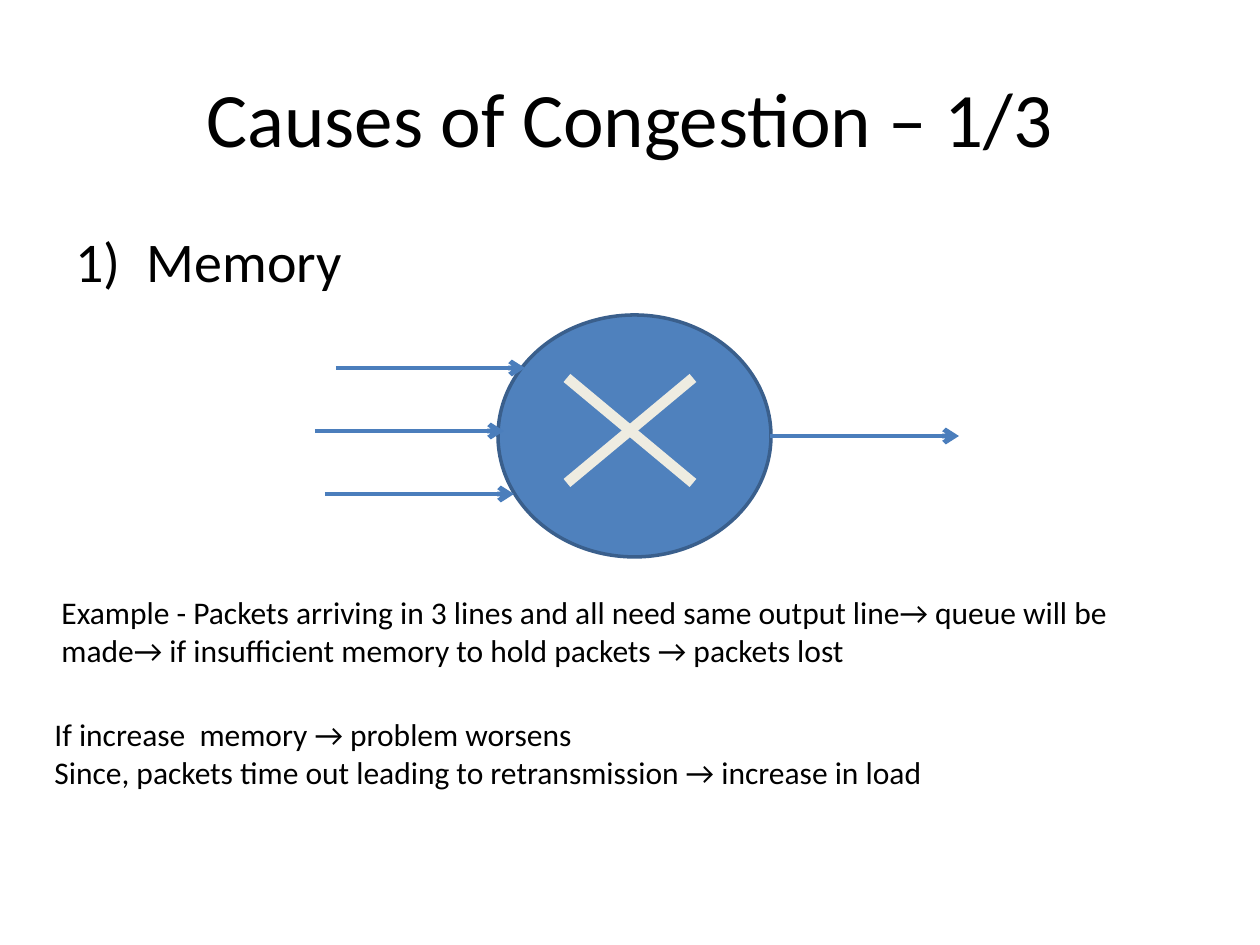
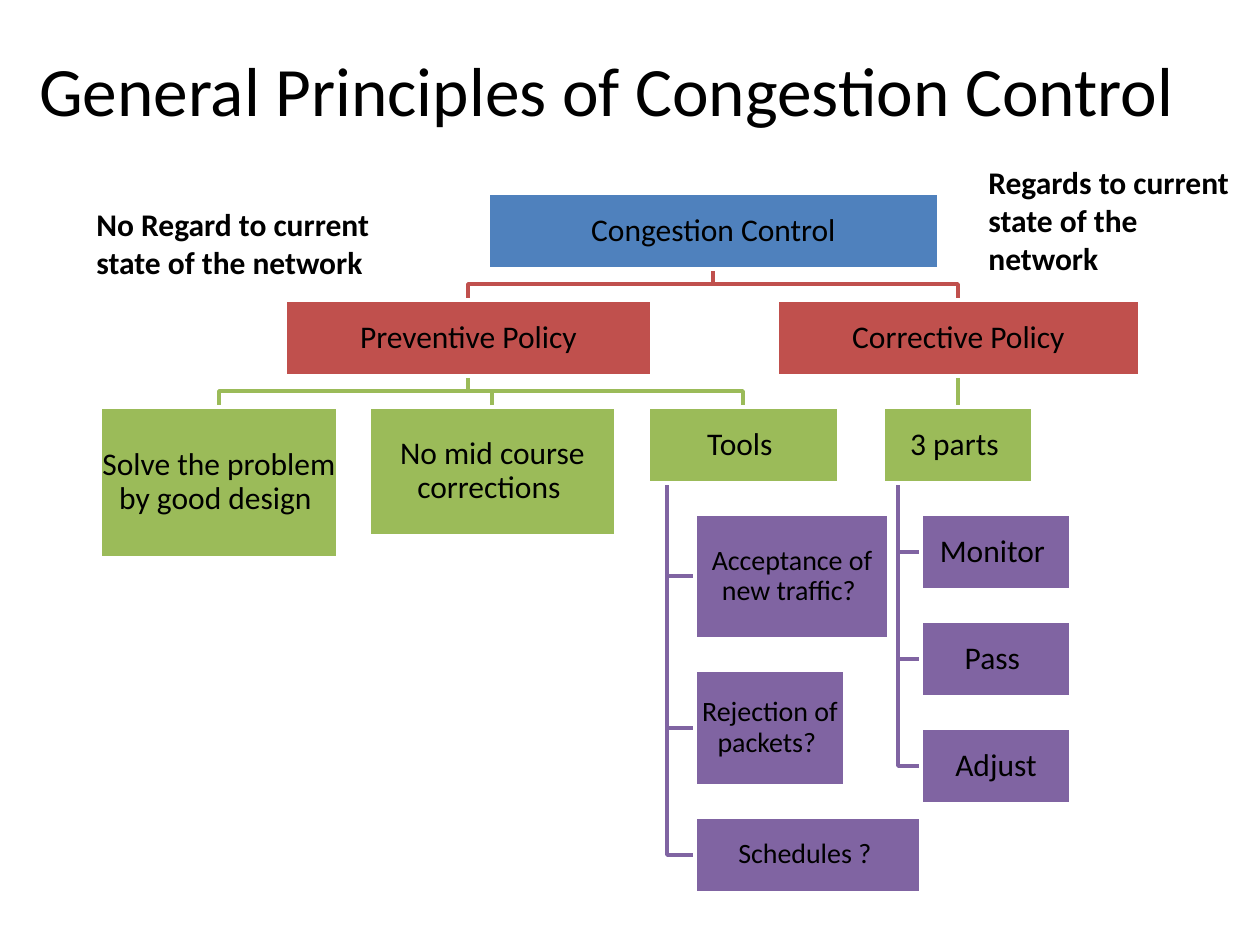
from pptx import Presentation, util as u
from pptx.dml.color import RGBColor
from pptx.enum import shapes, text
from pptx.oxml.ns import qn
from pptx.oxml.xmlchemy import OxmlElement

PX = u.Inches(1) // 126
FONT = "Calibri"
BLACK = RGBColor(0x00, 0x00, 0x00)
WHITE = RGBColor(0xFF, 0xFF, 0xFF)
CREAM = RGBColor(0xEE, 0xEC, 0xE1)
BLUE = RGBColor(0x4F, 0x81, 0xBD)
DARK_BLUE = RGBColor(0x3A, 0x5F, 0x8C)
ARROW_BLUE = RGBColor(0x4B, 0x7E, 0xBC)
RED = RGBColor(0xC0, 0x50, 0x4D)
GREEN = RGBColor(0x9B, 0xBB, 0x59)
PURPLE = RGBColor(0x80, 0x64, 0xA2)


def write(shape, place, lines, size, align=None, bold=None):
    """Move a shape to its place in px and fill it with one paragraph per line."""
    shape.left, shape.top, shape.width, shape.height = (length * PX for length in place)
    frame = shape.text_frame
    frame.word_wrap = True
    frame.auto_size = text.MSO_AUTO_SIZE.NONE
    for number, line in enumerate(lines):
        para = frame.add_paragraph() if number else frame.paragraphs[0]
        para.alignment = align
        span = para.add_run()
        span.text = line
        span.font.name = FONT
        span.font.size = u.Pt(size)
        span.font.bold = bold
        span.font.color.rgb = BLACK
    return frame


def add_line(page, ends, colour, width, arrow=False):
    line = page.shapes.add_connector(
        shapes.MSO_CONNECTOR.STRAIGHT, *(length * PX for length in ends))
    line.line.color.rgb = colour
    line.line.width = u.Pt(width)
    properties = line._element.spPr
    if arrow:
        tail = OxmlElement("a:tailEnd")
        tail.set("type", "arrow")
        properties.find(qn("a:ln")).append(tail)
    properties.append(OxmlElement("a:effectLst"))


deck = Presentation()
deck.slide_width, deck.slide_height = u.Inches(10), u.Inches(7.5)
CENTER = text.PP_ALIGN.CENTER

# Slide 1: causes of congestion
page = deck.slides.add_slide(deck.slide_layouts[1])
write(page.shapes.title, (63, 38, 1134, 158), ["Causes of Congestion – 1/3"], 44, CENTER)
body = write(page.placeholders[1], (63, 220, 1134, 624), ["Memory"], 32)
properties = body.paragraphs[0]._p.get_or_add_pPr()
properties.set("marL", str(71 * PX))
properties.set("indent", str(-71 * PX))
numbering = OxmlElement("a:buAutoNum")
numbering.set("type", "arabicParenR")
properties.append(numbering)

router = page.shapes.add_shape(
    shapes.MSO_SHAPE.OVAL, 498 * PX, 315 * PX, 273 * PX, 242 * PX)
router.shadow.inherit = False
router.fill.solid()
router.fill.fore_color.rgb = BLUE
router.line.color.rgb = DARK_BLUE
router.line.width = u.Pt(2)
for start, end in ((378, 483), (483, 378)):
    add_line(page, (567, start, 693, end), CREAM, 6)
for left, top in ((336, 368), (315, 431), (325, 494), (770, 436)):
    add_line(page, (left, top, left + 189, top), ARROW_BLUE, 2.75, arrow=True)

notes = [
    ((49, 587, 1169, 89), [
        "Example - Packets arriving in 3 lines and all need same output line→ queue will be "
        "made→ if insufficient memory to hold packets → packets lost"]),
    ((42, 709, 1169, 89), [
        "If increase  memory → problem worsens",
        "Since, packets time out leading to retransmission → increase in load"]),
]
for place, lines in notes:
    write(page.shapes.add_textbox(0, 0, 0, 0), place, lines, 18)

# Slide 2: tree of policies
page = deck.slides.add_slide(deck.slide_layouts[5])
write(page.shapes.title, (0, 10, 1229, 158),
      ["General Principles of Congestion Control "], 39.6, CENTER)

TOP, ROW, GAP = 193, 76, 31
LEVEL_COLOURS = [BLUE, RED, GREEN, PURPLE]
# label, parent, level, left, width, height, text size
nodes = [
    ("Congestion Control", None, 0, 488, 451, ROW, 18),
    ("Preventive Policy", "Congestion Control", 1, 285, 367, ROW, 18),
    ("Solve the problem by good design ", "Preventive Policy", 2, 100, 238, 151, 18),
    ("No mid course corrections ", "Preventive Policy", 2, 369, 247, 129, 18),
    ("Tools ", "Preventive Policy", 2, 648, 191, ROW, 18),
    ("Acceptance of new traffic? ", "Tools ", 3, 695, 194, 125, 16),
    ("Rejection of packets? ", "Tools ", 3, 695, 150, 116, 16),
    ("Schedules ? ", "Tools ", 3, 695, 226, ROW, 16),
    ("Corrective Policy", "Congestion Control", 1, 777, 363, ROW, 18),
    ("3 parts ", "Corrective Policy", 2, 883, 150, ROW, 18),
    ("Monitor ", "3 parts ", 3, 921, 150, ROW, 18),
    ("Pass ", "3 parts ", 3, 921, 150, ROW, 18),
    ("Adjust", "3 parts ", 3, 921, 150, ROW, 18),
]

# Siblings share a row, except on the last level, where they are stacked
places = {}
stack_tops = {}
for label, parent, level, left, width, height, size in nodes:
    top = TOP + level * (ROW + GAP)
    if level == 3:
        top = stack_tops.get(parent, top)
        stack_tops[parent] = top + height + GAP
    places[label] = (left, top, width, height)

for label, parent, level, left, width, height, size in nodes:
    if parent is None:
        continue
    top = places[label][1]
    parent_left, parent_top, parent_width, parent_height = places[parent]
    start_y = parent_top + parent_height
    start_x, end_x = parent_left + parent_width // 2, left + width // 2
    if level == 3:
        start_x, middle = parent_left + parent_width // 10, top + height // 2
        points = [(start_x, middle), (left, middle)]
    elif start_x == end_x:
        add_line(page, (start_x, start_y, end_x, top), LEVEL_COLOURS[level], 2)
        continue
    else:
        middle = start_y + GAP // 2
        points = [(start_x, middle), (end_x, middle), (end_x, top)]
    builder = page.shapes.build_freeform(start_x, start_y, scale=PX)
    builder.add_line_segments(points, close=False)
    link = builder.convert_to_shape()
    link.shadow.inherit = False
    link.fill.background()
    link.line.color.rgb = LEVEL_COLOURS[level]
    link.line.width = u.Pt(2)

for label, parent, level, left, width, height, size in nodes:
    box = page.shapes.add_shape(shapes.MSO_SHAPE.RECTANGLE, 0, 0, 0, 0)
    box.shadow.inherit = False
    box.fill.solid()
    box.fill.fore_color.rgb = LEVEL_COLOURS[level]
    box.line.color.rgb = WHITE
    box.line.width = u.Pt(2)
    frame = write(box, places[label], [label], size, CENTER)
    frame.margin_left = frame.margin_right = frame.margin_top = frame.margin_bottom = PX
    frame.vertical_anchor = text.MSO_ANCHOR.MIDDLE
    frame.paragraphs[0].line_spacing = 0.9

remarks = [
    ((84, 199, 325, 89), "No Regard to current state of the network"),
    ((976, 157, 273, 127), "Regards to current state of the network"),
]
for place, remark in remarks:
    write(page.shapes.add_textbox(0, 0, 0, 0), place, [remark], 18, bold=True)

deck.save("out.pptx")
